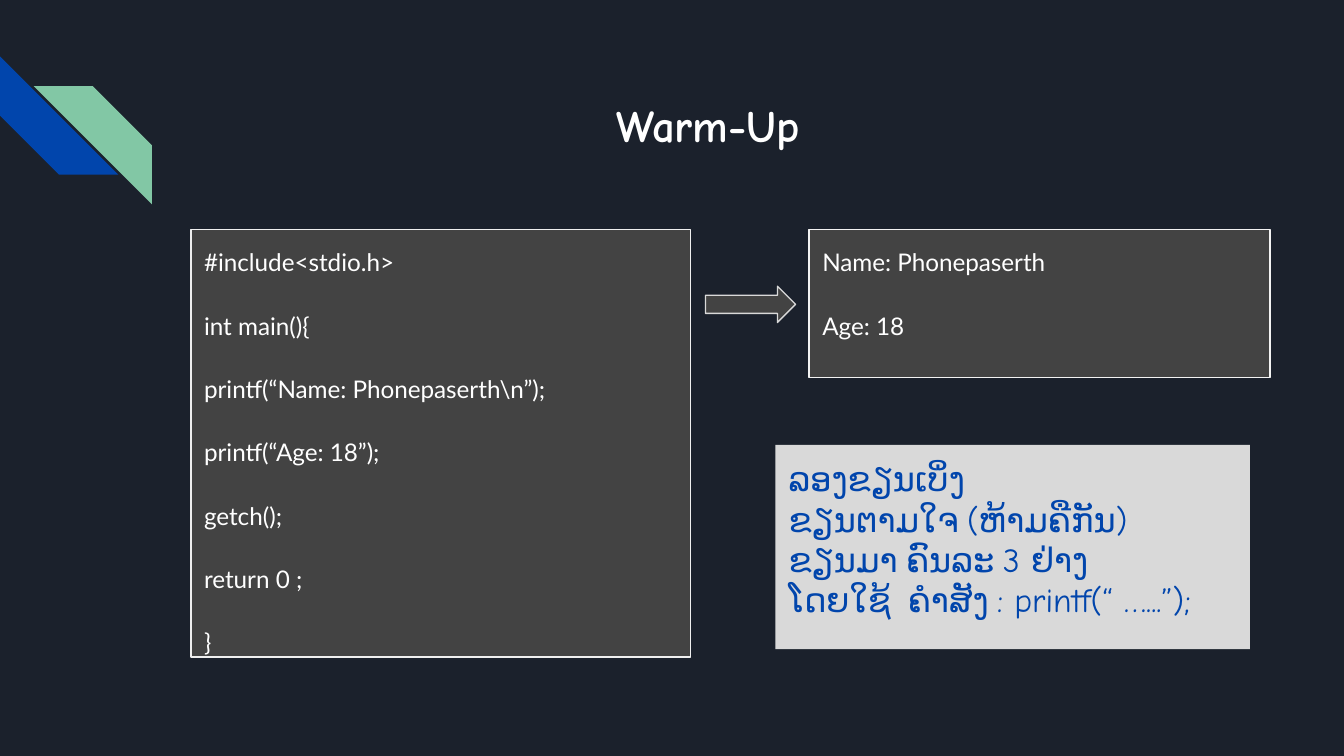
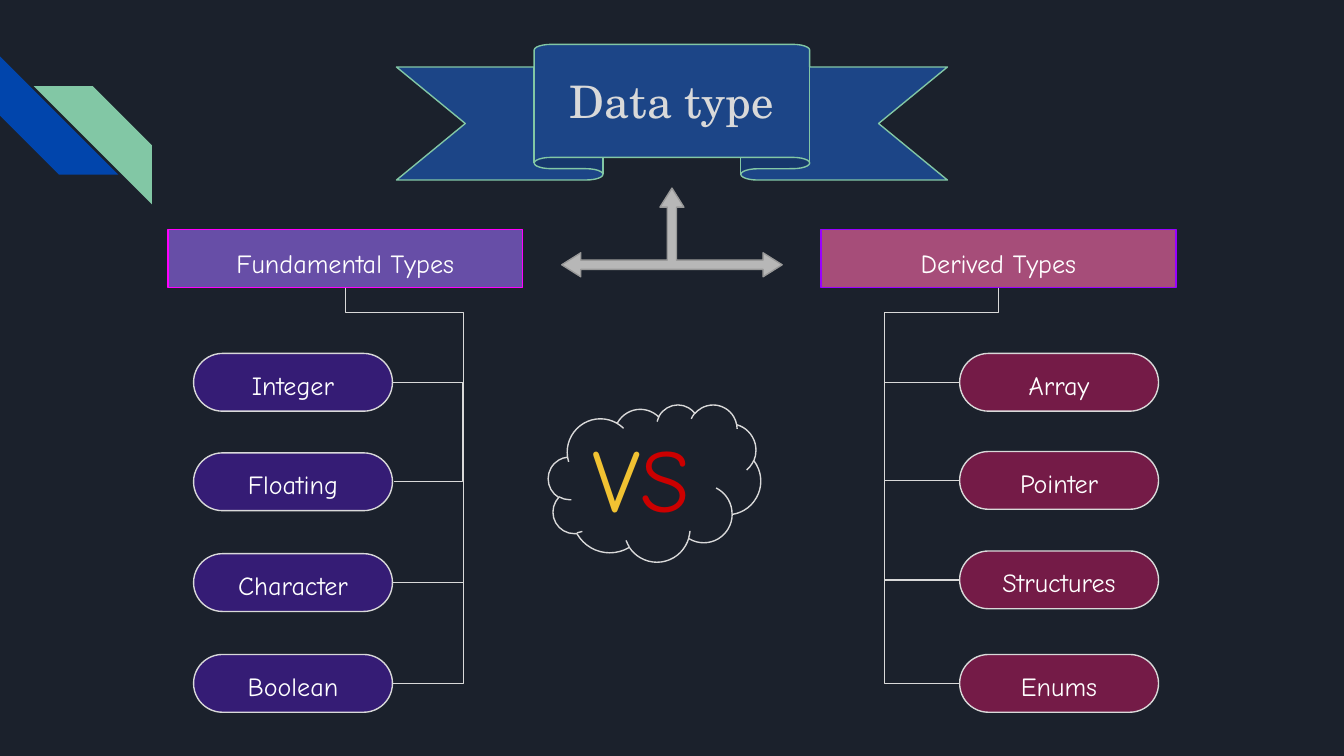
from lxml import etree
from pptx import Presentation
from pptx.dml.color import RGBColor
from pptx.enum.shapes import MSO_CONNECTOR, MSO_SHAPE
from pptx.enum.text import MSO_ANCHOR, PP_ALIGN
from pptx.oxml.ns import qn
from pptx.util import Inches, Pt

RECT = MSO_SHAPE.RECTANGLE
PILL = MSO_SHAPE.ROUNDED_RECTANGLE
STRIPE = MSO_SHAPE.DIAGONAL_STRIPE
RIGHT_ARROW = MSO_SHAPE.RIGHT_ARROW
THREE_WAY_ARROW = MSO_SHAPE.LEFT_RIGHT_UP_ARROW
RIBBON = MSO_SHAPE.UP_RIBBON
CLOUD = MSO_SHAPE.CLOUD
ELBOW = MSO_CONNECTOR.ELBOW
TOP, MIDDLE = MSO_ANCHOR.TOP, MSO_ANCHOR.MIDDLE
LEFT, CENTER = PP_ALIGN.LEFT, PP_ALIGN.CENTER

NIGHT = RGBColor(0x1B, 0x21, 0x2C)
BLUE = RGBColor(0x01, 0x45, 0xAC)
MINT = RGBColor(0x82, 0xC7, 0xA5)
WHITE = RGBColor(0xFF, 0xFF, 0xFF)
CHARCOAL = RGBColor(0x43, 0x43, 0x43)
PALE = RGBColor(0xEF, 0xEF, 0xEF)
PALER = RGBColor(0xF3, 0xF3, 0xF3)
SILVER = RGBColor(0xD9, 0xD9, 0xD9)
STEEL = RGBColor(0xB7, 0xB7, 0xB7)
GREY = RGBColor(0x99, 0x99, 0x99)
NAVY = RGBColor(0x1C, 0x45, 0x87)
LILAC = RGBColor(0x67, 0x4E, 0xA7)
MAGENTA = RGBColor(0xFF, 0x00, 0xFF)
ROSE = RGBColor(0xA6, 0x4D, 0x79)
VIOLET = RGBColor(0x99, 0x00, 0xFF)
INDIGO = RGBColor(0x35, 0x1C, 0x75)
WINE = RGBColor(0x74, 0x1B, 0x47)
GOLD = RGBColor(0xF1, 0xC2, 0x32)
RED = RGBColor(0xCC, 0x00, 0x00)

HAND, SANS, SERIF = "Comic Neue", "Lato", "TeX Gyre Schola"
LINE_WIDTH = Pt(0.75)

CODE = [
    "#include<stdio.h>",
    "int main(){",
    "printf(“Name: Phonepaserth\\n”);",
    "printf(“Age: 18”);",
    "getch();",
    "return 0 ;",
    "}",
]
OUTPUT = ["Name: Phonepaserth", "Age: 18"]
TASK = [
    "ລອງຂຽນເບິ່ງ",
    "ຂຽນຕາມໃຈ (ຫ້າມຄືກັນ)",
    "ຂຽນມາ ຄົນລະ 3 ຢ່າງ",
    "ໂດຍໃຊ້  ຄຳສັງ : printf(“ …...”);",
]

# Data type tree
HEADER_TOP, HEADER_W, BOX_H = 1.71, 2.64, 0.43
PILL_W = 1.48
FUNDAMENTAL = [("Integer", 2.63), ("Floating", 3.37),
               ("Character", 4.12), ("Boolean", 4.87)]
DERIVED = [("Array", 2.63), ("Pointer", 3.36),
           ("Structures", 4.1), ("Enums", 4.87)]


def add_shape(slide, kind, box, fill=None, line=None, adjust=()):
    shape = slide.shapes.add_shape(kind, *map(Inches, box))
    shape.shadow.inherit = False
    if fill is None:
        shape.fill.background()
    else:
        shape.fill.solid()
        shape.fill.fore_color.rgb = fill
    if line is None:
        shape.line.fill.background()
    else:
        shape.line.color.rgb = line
        shape.line.width = LINE_WIDTH
    for i, value in enumerate(adjust):
        shape.adjustments[i] = value
    return shape


def set_frame(shape, anchor):
    frame = shape.text_frame
    frame.word_wrap = True
    frame.vertical_anchor = anchor
    frame.margin_left = frame.margin_right = Inches(0.1)
    frame.margin_top = frame.margin_bottom = Inches(0.1)
    return frame


def write(shape, lines, font, size, color, align=LEFT, anchor=TOP,
          spacing=None, gap=0, bold=False):
    frame = set_frame(shape, anchor)
    for i, line in enumerate(lines):
        paragraph = frame.add_paragraph() if i else frame.paragraphs[0]
        paragraph.text = line
        paragraph.alignment = align
        paragraph.line_spacing = spacing
        if i:
            paragraph.space_before = Pt(gap)
        paragraph.font.name = font
        paragraph.font.size = Pt(size)
        paragraph.font.color.rgb = color
        paragraph.font.bold = bold


def add_label(slide, kind, box, text, fill, line, anchor, adjust=()):
    label = add_shape(slide, kind, box, fill, line, adjust)
    write(label, [text], HAND, 14, WHITE, CENTER, anchor, spacing=1.15)


def add_elbow(slide, start, end, preset, adjust=()):
    link = slide.shapes.add_connector(ELBOW, *map(Inches, start + end))
    link.line.color.rgb = SILVER
    link.line.width = LINE_WIDTH
    properties = link.element.spPr
    etree.SubElement(properties, qn("a:effectLst"))
    geometry = properties.find(qn("a:prstGeom"))
    geometry.set("prst", preset)
    guides = geometry.find(qn("a:avLst"))
    for i, value in enumerate(adjust, 1):
        etree.SubElement(guides, qn("a:gd"), name=f"adj{i}",
                         fmla=f"val {round(value * 100000)}")
    return link


def add_trunk(slide, start, end, bus):
    """Leave a header downwards, cross to the bus, then reach the first pill."""
    (x1, y1), (x2, y2) = start, end
    across, down = abs(x2 - x1), y2 - y1
    mid_x, mid_y = (x1 + x2) / 2, (y1 + y2) / 2
    trunk = add_elbow(slide,
                      (mid_x - down / 2, mid_y - across / 2),
                      (mid_x + down / 2, mid_y + across / 2),
                      "bentConnector4", (0.265, (bus - x1) / (x2 - x1)))
    frame = trunk.element.spPr.find(qn("a:xfrm"))
    if x2 > x1:
        frame.set("rot", str(270 * 60000))
        frame.set("flipH", "1")
    else:
        frame.set("rot", str(90 * 60000))


def add_branch(slide, left, title, fill, line, pills, pill_left, pill_fill):
    add_label(slide, RECT, (left, HEADER_TOP, HEADER_W, BOX_H),
              title, fill, line, TOP)
    for text, top in pills:
        add_label(slide, PILL, (pill_left, top, PILL_W, BOX_H),
                  text, pill_fill, SILVER, MIDDLE, (0.5,))


def add_links(slide, header_left, pills, edge, bus, joins):
    centers = [top + BOX_H / 2 for _, top in pills]
    header_foot = (header_left + HEADER_W / 2, HEADER_TOP + BOX_H)
    add_trunk(slide, header_foot, (edge, centers[0]), bus)
    for center, join in zip(centers[-len(joins):], joins):
        add_elbow(slide, (edge, center), (bus, join), "bentConnector2")
    return centers


def new_slide(deck):
    slide = deck.slides.add_slide(deck.slide_layouts[6])
    slide.background.fill.solid()
    slide.background.fill.fore_color.rgb = NIGHT
    # Corner stripes
    add_shape(slide, STRIPE, (0, 0.42, 0.88, 0.88), BLUE).rotation = 270
    mint = add_shape(slide, STRIPE, (0.25, 0.64, 0.88, 0.88), MINT)
    mint.element.spPr.find(qn("a:xfrm")).set("flipH", "1")
    return slide


def add_warm_up(deck):
    slide = new_slide(deck)
    title = slide.shapes.add_textbox(*map(Inches, (1.42, 0.43, 7.7, 1)))
    write(title, ["Warm-Up"], HAND, 24, WHITE, CENTER, MIDDLE, bold=True)

    # Program and what it prints
    code = add_shape(slide, RECT, (1.42, 1.71, 3.72, 3.18), CHARCOAL, PALE)
    write(code, CODE, SANS, 13, WHITE, spacing=1.15, gap=16)
    output = add_shape(slide, RECT, (6.02, 1.71, 3.43, 1.1), CHARCOAL, PALER)
    write(output, OUTPUT, SANS, 13, WHITE, spacing=1.15, gap=16)
    add_shape(slide, RIGHT_ARROW, (5.25, 2.13, 0.67, 0.27), CHARCOAL, SILVER)

    # Exercise
    task = add_shape(slide, RECT, (5.77, 3.31, 3.53, 1.52), SILVER)
    write(task, TASK, HAND, 18, BLUE)


def add_data_types(deck):
    slide = new_slide(deck)
    ribbon = add_shape(slide, RIBBON, (2.95, 0.33, 4.1, 1.01), NAVY, MINT,
                       (0.167, 0.5))
    write(ribbon, ["Data type"], SERIF, 24, SILVER, CENTER, MIDDLE)
    add_shape(slide, THREE_WAY_ARROW, (4.18, 1.4, 1.64, 0.66), STEEL, GREY,
              (0.104, 0.135, 0.215))

    # Two families of types
    add_branch(slide, 1.25, "Fundamental Types", LILAC, MAGENTA,
               FUNDAMENTAL, 1.44, INDIGO)
    add_branch(slide, 6.11, "Derived Types", ROSE, VIOLET,
               DERIVED, 7.14, WINE)

    # Tree lines
    edge, bus = 1.44 + PILL_W, 3.45
    centers = add_links(slide, 1.25, FUNDAMENTAL, edge, bus, [2.85, 2.83])
    step = 0.01
    add_elbow(slide, (edge, centers[0]), (edge + step, centers[1]),
              "bentConnector3", ((bus - edge) / step,))
    add_links(slide, 6.11, DERIVED, 7.14, 6.58, [2.6, 3.25, 3.65])

    # Versus cloud
    versus = slide.shapes.add_textbox(*map(Inches, (4.31, 3.05, 1.13, 0.75)))
    paragraph = set_frame(versus, TOP).paragraphs[0]
    paragraph.font.name = HAND
    paragraph.font.size = Pt(48)
    for letter, color in (("V", GOLD), ("S", RED)):
        run = paragraph.add_run()
        run.text = letter
        run.font.color.rgb = color
    add_shape(slide, CLOUD, (4.08, 3.01, 1.58, 1.17), line=SILVER)


def main():
    deck = Presentation()
    # Widescreen, 16 to 9
    deck.slide_width = Inches(10)
    deck.slide_height = Inches(10 * 9 / 16)
    add_warm_up(deck)
    add_data_types(deck)
    deck.save("out.pptx")


if __name__ == "__main__":
    main()
